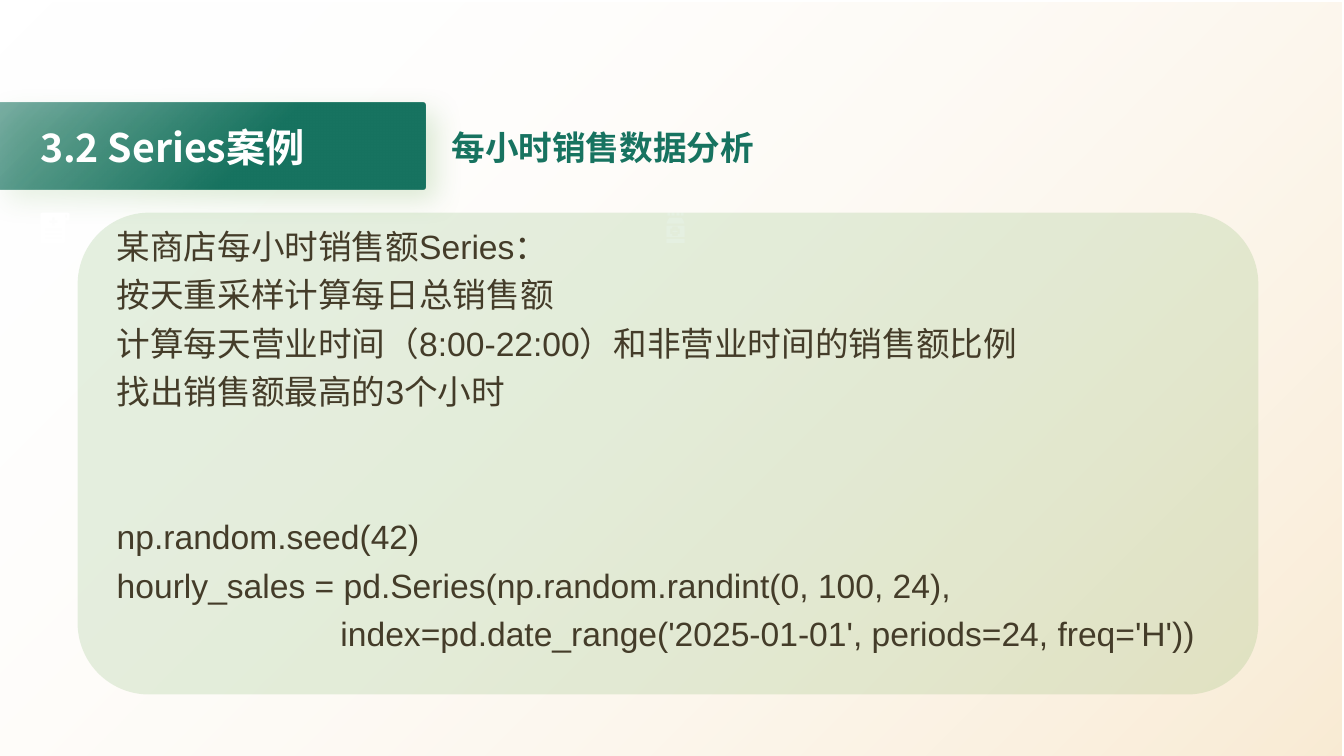
from dataclasses import dataclass, field

from pptx import Presentation
from pptx.dml.color import RGBColor
from pptx.enum.shapes import MSO_SHAPE
from pptx.enum.text import MSO_ANCHOR, MSO_AUTO_SIZE
from pptx.oxml import parse_xml
from pptx.oxml.ns import nsdecls
from pptx.util import Inches, Pt

Point = tuple[int, int]
Ring = list[Point]

WIDE, HIGH = Inches(13.33), Inches(7.5)
CELL = WIDE / 1333
COLORS = {
    "gold": "E3A237",
    "white": "FFFFFF",
    "teal": "177360",
    "green": "549E39",
    "brown": "443C29",
}


@dataclass
class Area:
    left: float
    top: float
    width: float
    height: float

    def scale(self) -> tuple[int, int, int, int]:
        return (int(self.left * WIDE / 100), int(self.top * HIGH / 100),
                int(self.width * WIDE / 100), int(self.height * HIGH / 100))


@dataclass
class Stop:
    place: int
    color: str
    alpha: int = 100


@dataclass
class Panel:
    area: Area
    stops: list[Stop]
    angle: int = 0
    round: float = 0
    glow: bool = False


@dataclass
class Label:
    area: Area
    lines: list[str]
    color: str
    font: dict
    frame: dict
    para: dict = field(default_factory=dict)
    gaps: dict[int, float] = field(default_factory=dict)


@dataclass
class Icon:
    col: int
    row: int
    rings: list[Ring]


def box(left: int, top: int, right: int, base: int) -> Ring:
    return [(left, top), (right, top), (right, base), (left, base)]


def plus(left: int, top: int, size: int, notch: int) -> Ring:
    near, far = notch, size - notch
    turns = [(0, near), (near, near), (near, 0), (far, 0), (far, near), (size, near),
             (size, far), (far, far), (far, size), (near, size), (near, far), (0, far)]
    return [(left + x, top + y) for x, y in turns]


def apply(target: object, values: dict) -> None:
    for name, value in values.items():
        setattr(target, name, value)


def tint(color: str, alpha: int) -> str:
    return f'<a:srgbClr val="{COLORS[color]}"><a:alpha val="{alpha * 1000}"/></a:srgbClr>'


def paint(panel: Panel) -> str:
    if len(panel.stops) == 1:
        stop = panel.stops[0]
        return f'<a:solidFill {nsdecls("a")}>{tint(stop.color, stop.alpha)}</a:solidFill>'
    marks = "".join(f'<a:gs pos="{s.place * 1000}">{tint(s.color, s.alpha)}</a:gs>'
                    for s in panel.stops)
    return (f'<a:gradFill {nsdecls("a")} rotWithShape="1"><a:gsLst>{marks}</a:gsLst>'
            f'<a:lin ang="{panel.angle * 60000}" scaled="0"/></a:gradFill>')


def draw_panel(slide, panel: Panel) -> None:
    kind = MSO_SHAPE.ROUNDED_RECTANGLE if panel.round else MSO_SHAPE.RECTANGLE
    shape = slide.shapes.add_shape(kind, *panel.area.scale())
    if panel.round:
        shape.adjustments[0] = panel.round
    shape.line.fill.background()
    shape.fill.background()
    shape.shadow.inherit = False
    props = shape._element.spPr
    props.replace(props.find("{*}noFill"), parse_xml(paint(panel)))
    if panel.glow:
        props.find("{*}effectLst").append(parse_xml(
            f'<a:outerShdw {nsdecls("a")} blurRad="{Pt(20)}" dist="{Pt(10)}" '
            f'dir="{45 * 60000}" algn="tl" rotWithShape="0">{tint("green", 20)}</a:outerShdw>'))


def draw_label(slide, label: Label) -> None:
    frame = slide.shapes.add_textbox(*label.area.scale()).text_frame
    apply(frame, {"word_wrap": True, **label.frame})
    for index, line in enumerate(label.lines):
        para = frame.paragraphs[0] if index == 0 else frame.add_paragraph()
        apply(para, label.para)
        if index in label.gaps:
            para.space_before = Pt(label.gaps[index])
        run = para.add_run()
        run.text = line
        apply(run.font, label.font)
        run.font.color.rgb = RGBColor.from_string(COLORS[label.color])


def draw_icon(slide, icon: Icon) -> None:
    first, *rest = icon.rings
    pen = slide.shapes.build_freeform(*first[0], scale=CELL)
    pen.add_line_segments(first[1:], close=True)
    for ring in rest:
        pen.move_to(*ring[0])
        pen.add_line_segments(ring[1:], close=True)
    shape = pen.convert_to_shape(int(icon.col * CELL), int(icon.row * CELL))
    shape.fill.solid()
    shape.fill.fore_color.rgb = RGBColor.from_string(COLORS["white"])
    shape.line.fill.background()
    shape.shadow.inherit = False


MIDDLE = {"vertical_anchor": MSO_ANCHOR.MIDDLE, "auto_size": MSO_AUTO_SIZE.SHAPE_TO_FIT_TEXT}
BACK = Panel(Area(-0.15, 0.4, 100, 100),
             [Stop(0, "gold", 22), Stop(100, "white", 0)], angle=225)
BANNER = Panel(Area(-0.15, 13.6, 31.81, 11.47),
               [Stop(0, "teal", 56), Stop(60, "teal")], angle=45, round=0.036, glow=True)
CARD = Panel(Area(5.78, 28.13, 87.85, 63.73), [Stop(0, "green", 15)], round=0.148)

TOPIC = Label(Area(32.86, 16.13, 25.51, 6.67), ["每小时销售数据分析"], "teal",
              {"size": Pt(24), "name": "Arial", "bold": True}, MIDDLE)
TITLE = Label(Area(2.25, 15.6, 30.61, 7.6), ["3.2 Series案例"], "white",
              {"size": Pt(28), "name": "Noto Sans CJK SC", "bold": True}, MIDDLE)
TASK = Label(
    Area(7.95, 28.13, 85.67, 63.73),
    ["某商店每小时销售额Series：",
     "按天重采样计算每日总销售额",
     "计算每天营业时间（8:00-22:00）和非营业时间的销售额比例",
     "找出销售额最高的3个小时",
     "np.random.seed(42)",
     "hourly_sales = pd.Series(np.random.randint(0, 100, 24),",
     "                        index=pd.date_range('2025-01-01', periods=24, freq='H'))"],
    "brown", {"size": Pt(24), "name": "Arial"}, {"vertical_anchor": MSO_ANCHOR.TOP},
    {"line_spacing": 1.2}, {4: 69.3})

SCROLL = Icon(40, 211, [
    [(27, 0), (2, 0), (0, 1), (0, 29), (1, 30), (24, 30),
     (25, 29), (25, 8), (28, 8), (29, 7), (29, 1)],
    plus(9, 5, 8, 3),
    *(box(5, top, 21, top + 2) for top in (16, 20, 24)),
    box(25, 2, 26, 5),
])
TILL = Icon(661, 211, [
    box(0, 26, 18, 30), plus(6, 16, 5, 2), plus(4, 14, 9, 2), box(0, 13, 18, 24),
    [(3, 5), (15, 5), (17, 8), (18, 11), (0, 11), (1, 8)],
    *(box(left, 0, left + 3, 3) for left in (1, 5, 10, 14)),
])


def main() -> None:
    deck = Presentation()
    apply(deck, {"slide_width": WIDE, "slide_height": HIGH})
    slide = deck.slides.add_slide(deck.slide_layouts[6])
    draw_panel(slide, BACK)
    draw_label(slide, TOPIC)
    draw_panel(slide, BANNER)
    draw_label(slide, TITLE)
    for icon in (SCROLL, TILL):
        draw_icon(slide, icon)
    draw_panel(slide, CARD)
    draw_label(slide, TASK)
    deck.save("out.pptx")


if __name__ == "__main__":
    main()
